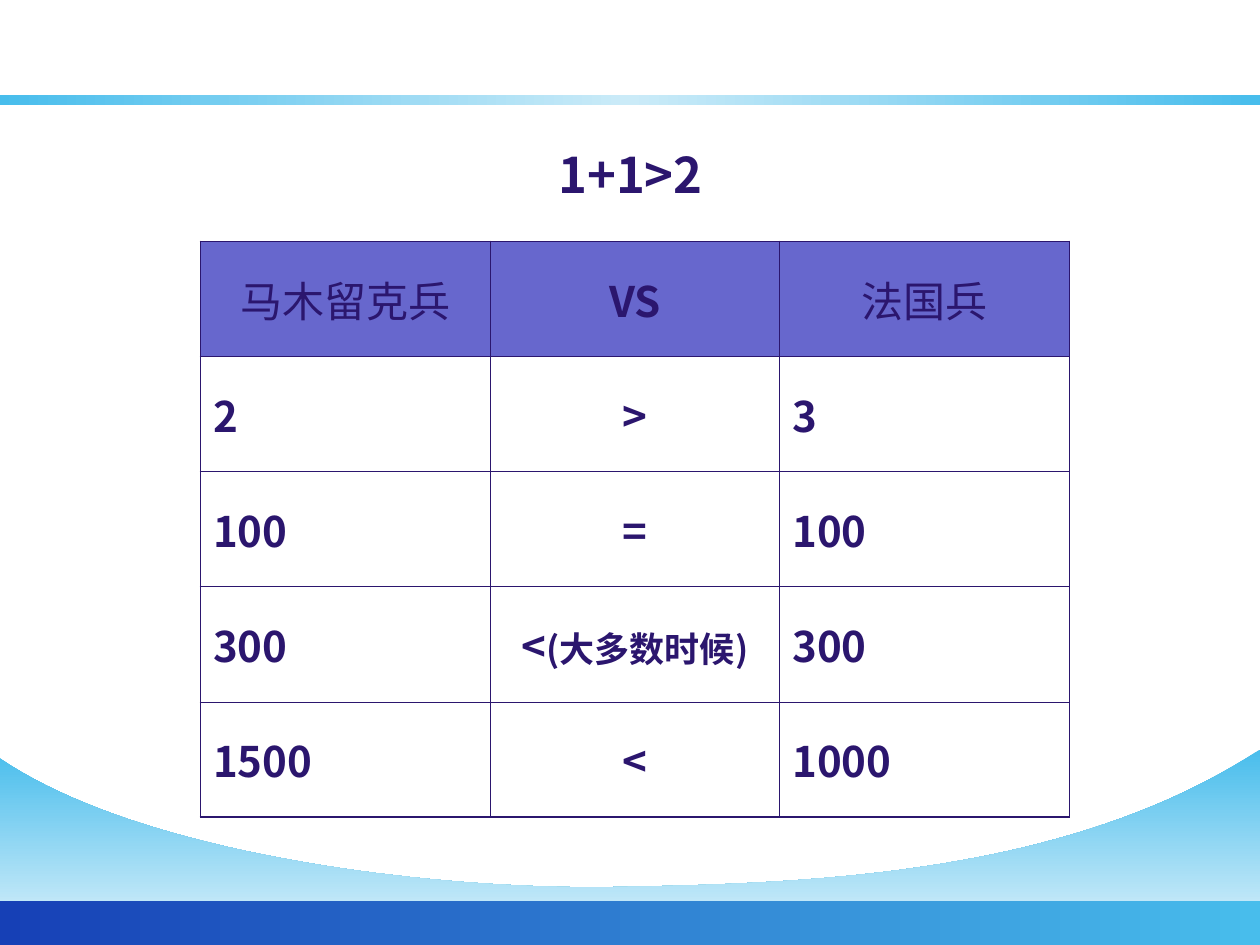
"""Build a one-slide comparison of Mamluk and French soldiers."""
from copy import deepcopy

from lxml import etree
from pptx import Presentation
from pptx.dml.color import RGBColor
from pptx.enum.shapes import MSO_SHAPE
from pptx.enum.text import MSO_ANCHOR, PP_ALIGN
from pptx.oxml.ns import qn
from pptx.util import Cm, Pt

RECTANGLE = MSO_SHAPE.RECTANGLE
MIDDLE, BOTTOM = MSO_ANCHOR.MIDDLE, MSO_ANCHOR.BOTTOM
LEFT, CENTER = PP_ALIGN.LEFT, PP_ALIGN.CENTER

TITLE = "1+1>2"
HEADER = ["马木留克兵", "VS", "法国兵"]
ROWS = [
    ["2", ">", "3"],
    ["100", "=", "100"],
    ["300", "<(大多数时候)", "300"],
    ["1500", "<", "1000"],
]

THEME = {
    "font": "Noto Sans CJK SC", "ink": "2B166E", "header": "6767CD",
    "sky": "48BDEC", "mist": "E2F3FB", "ice": "CBEBF8", "navy": "1640B6",
    "title": 28, "body": 24, "note": 20, "thin": 0.45, "thick": 1.08,
}

WIDTH, HEIGHT = 25.4, 19.05
TITLE_BOX = {"left": 1.6, "top": 0.84, "width": 22.22, "height": 3.38}
TABLE_LEFT, TABLE_TOP, COLUMN_WIDTH, ROW_HEIGHT = 4.04, 4.87, 5.84, 2.32
BARS = [
    (18.16, 0.89, ["sky", "navy"]),
    (1.92, 0.2, ["sky", "ice", "sky"]),
]
WAVE = [
    [(25.4, 15.11), (21.56, 17.65), (16.31, 17.81), (12.5, 17.88)],
    [(12.5, 17.88), (8.69, 17.96), (2.82, 17.22), (0, 15.29)],
]
CURVE_STEPS = 40


def color(name):
    return RGBColor.from_string(THEME[name])


def bezier(points, t):
    weights = [(1 - t) ** 3, 3 * t * (1 - t) ** 2, 3 * t * t * (1 - t), t ** 3]
    return tuple(Cm(sum(w * p[axis] for w, p in zip(weights, points)))
                 for axis in (0, 1))


def paint_gradient(shape, names, angle):
    shape.shadow.inherit = False
    shape.line.fill.background()
    shape.fill.gradient()
    shape.fill.gradient_angle = angle
    stops = shape._element.spPr.find(".//" + qn("a:gsLst"))
    while len(stops) < len(names):
        stops.append(deepcopy(stops[0]))
    for index, (stop, name) in enumerate(zip(shape.fill.gradient_stops, names)):
        stop.color.rgb = color(name)
        stop.position = index / (len(names) - 1)


def add_scenery(page):
    curve = [bezier(points, step / CURVE_STEPS)
             for points in WAVE for step in range(CURVE_STEPS + 1)]
    builder = page.shapes.build_freeform(Cm(WIDTH), Cm(HEIGHT))
    builder.add_line_segments(curve + [(0, Cm(HEIGHT))], close=True)
    paint_gradient(builder.convert_to_shape(), ["sky", "mist"], 270)
    for top, height, names in BARS:
        bar = page.shapes.add_shape(RECTANGLE, 0, Cm(top), Cm(WIDTH), Cm(height))
        paint_gradient(bar, names, 180)


def add_span(para, text, size, bold=True):
    span = para.add_run()
    span.text = text
    settings = {"name": THEME["font"], "size": Pt(THEME[size]), "bold": bold}
    for key, value in settings.items():
        setattr(span.font, key, value)
    span.font.color.rgb = color("ink")
    etree.SubElement(span._r.rPr, qn("a:ea"), typeface=THEME["font"])


def add_title(page):
    box = page.shapes.title
    page.shapes._spTree.append(box._element)
    for key, value in TITLE_BOX.items():
        setattr(box, key, Cm(value))
    box.text_frame.vertical_anchor = BOTTOM
    para = box.text_frame.paragraphs[0]
    para.alignment = CENTER
    add_span(para, TITLE, "title")


def set_borders(cell, outer_sides):
    properties = cell._tc.get_or_add_tcPr()
    for index, side in enumerate("LRTB"):
        weight = THEME["thick" if side in outer_sides else "thin"]
        line = etree.Element(qn("a:ln" + side), w=str(Pt(weight)))
        fill = etree.SubElement(line, qn("a:solidFill"))
        etree.SubElement(fill, qn("a:srgbClr"), val=THEME["ink"])
        properties.insert(index, line)


def fill_cell(cell, text, is_header, is_middle):
    cell.vertical_anchor = MIDDLE
    if is_header:
        cell.fill.solid()
        cell.fill.fore_color.rgb = color("header")
    else:
        cell.fill.background()
    para = cell.text_frame.paragraphs[0]
    para.alignment = CENTER if is_header or is_middle else LEFT
    sign, bracket, note = text.partition("(")
    add_span(para, sign, "body", bold=not is_header or is_middle)
    if note:
        add_span(para, bracket + note, "note")


def add_comparison(page):
    data = [HEADER] + ROWS
    last_row, last_column = len(data) - 1, len(HEADER) - 1
    table = page.shapes.add_table(
        len(data), len(HEADER), Cm(TABLE_LEFT), Cm(TABLE_TOP),
        Cm(COLUMN_WIDTH * len(HEADER)), Cm(ROW_HEIGHT * len(data))).table
    table.first_row = table.horz_banding = False
    for column in table.columns:
        column.width = Cm(COLUMN_WIDTH)
    for row in table.rows:
        row.height = Cm(ROW_HEIGHT)
    for r, texts in enumerate(data):
        for c, text in enumerate(texts):
            cell = table.cell(r, c)
            fill_cell(cell, text, r == 0, c == 1)
            edges = {"L": c == 0, "R": c == last_column,
                     "T": r == 0, "B": r == last_row}
            set_borders(cell, [side for side, outer in edges.items() if outer])


def main():
    deck = Presentation()
    deck.slide_width, deck.slide_height = Cm(WIDTH), Cm(HEIGHT)
    page = deck.slides.add_slide(deck.slide_layouts.get_by_name("Title Only"))
    add_scenery(page)
    add_title(page)
    add_comparison(page)
    deck.save("out.pptx")


if __name__ == "__main__":
    main()
